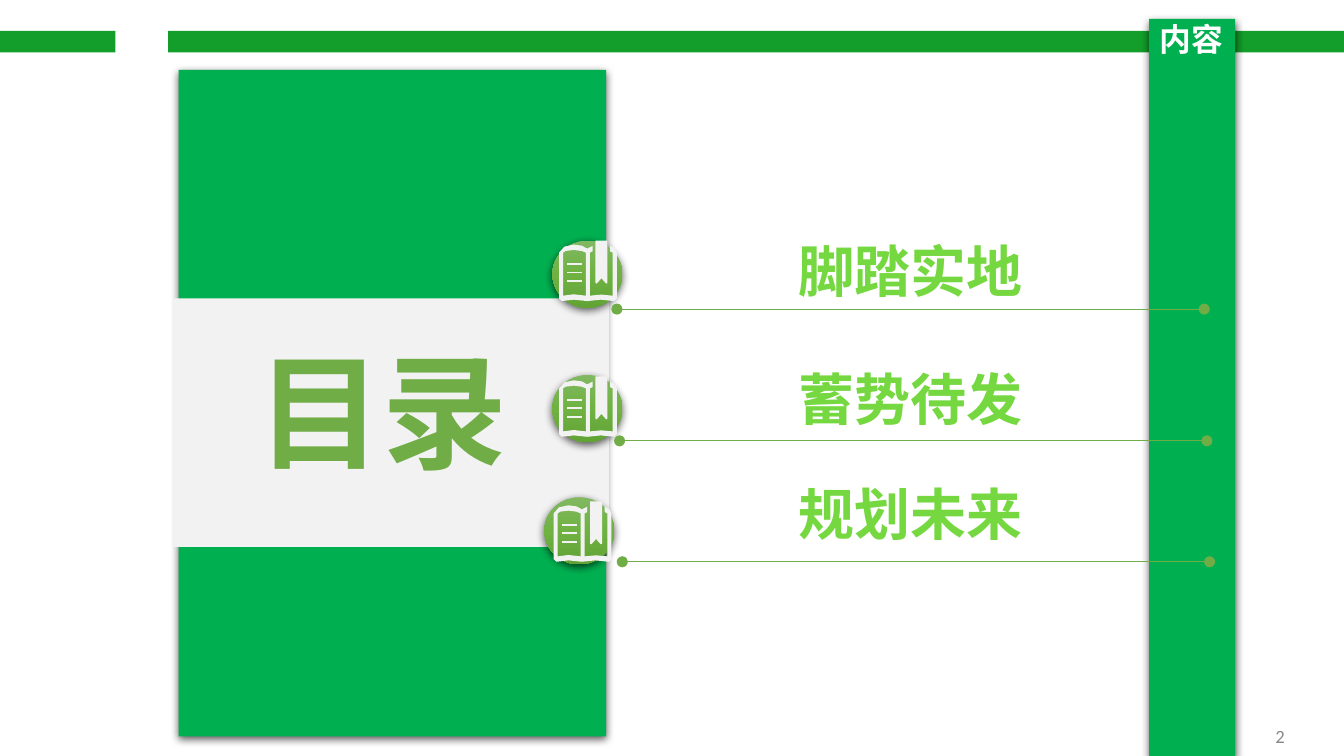
from lxml import etree
from pptx import Presentation
from pptx.dml.color import RGBColor
from pptx.enum.shapes import MSO_CONNECTOR, MSO_SHAPE
from pptx.enum.text import MSO_ANCHOR, PP_ALIGN
from pptx.oxml.ns import qn
from pptx.util import Inches, Pt

RECT, OVAL = MSO_SHAPE.RECTANGLE, MSO_SHAPE.OVAL
STRAIGHT = MSO_CONNECTOR.STRAIGHT
LEFT, CENTER, RIGHT = PP_ALIGN.LEFT, PP_ALIGN.CENTER, PP_ALIGN.RIGHT
TOP, MIDDLE = MSO_ANCHOR.TOP, MSO_ANCHOR.MIDDLE

WHITE = RGBColor(0xFF, 0xFF, 0xFF)
PALE = RGBColor(0xF2, 0xF2, 0xF2)
GRAY = RGBColor(0x89, 0x89, 0x89)
STRIPE = RGBColor(0x13, 0x9D, 0x2A)
GREEN = RGBColor(0x00, 0xB0, 0x50)
LEAF = RGBColor(0x70, 0xAD, 0x47)
BLACK = RGBColor(0, 0, 0)
DISC = [(0, RGBColor(0x81, 0xB8, 0x61)), (50, RGBColor(0x6F, 0xB2, 0x42)),
        (100, RGBColor(0x62, 0xA3, 0x36))]
LIME = [(0, RGBColor(0x33, 0x6F, 0x0A)), (78, RGBColor(0x75, 0xD8, 0x40)),
        (100, RGBColor(0xF2, 0xFB, 0xEE))]

CJK = "Noto Sans CJK SC"
TIGHT, LOOSE = (0.08, 0.04), (0.1, 0.05)

# Book outlines in thousandths of an inch from the icon's corner
RIBBON = [(270, 0), (360, 0), (360, 315), (350, 320), (315, 280),
          (280, 320), (270, 315)]
COVER = [(380, 40), (380, 80), (400, 90), (400, 410), (315, 402), (230, 410),
         (230, 90), (250, 80), (250, 40), (210, 60), (170, 38), (110, 30),
         (40, 45), (0, 90), (0, 430), (20, 450), (110, 440), (210, 450),
         (310, 440), (410, 450), (430, 430), (430, 90), (415, 58)]
PAGE = [(200, 410), (110, 400), (30, 410), (30, 90), (50, 77), (110, 70),
        (170, 78), (200, 90)]
ROWS = [[(60, y), (170, y), (170, y + 13), (60, y + 13)]
        for y in (168, 231, 294)]

# Heading, its top, disc corner, book corner, line start
ITEMS = [("脚踏实地", 1.71, (4.11, 1.79), (4.16, 1.79), (4.59, 2.3)),
         ("蓄势待发", 2.66, (4.11, 2.79), (4.16, 2.8), (4.61, 3.28)),
         ("规划未来", 3.52, (4.05, 3.7), (4.12, 3.73), (4.63, 4.18))]


def paint(shape, color):
    shape.fill.solid()
    shape.fill.fore_color.rgb = color
    shape.line.fill.background()
    shape.shadow.inherit = False


def add_color(parent, color):
    return etree.SubElement(parent, qn("a:srgbClr"), val=str(color))


def cast(shape):
    """Give the shape a soft shadow just below it."""
    effects = shape.element.spPr.find(qn("a:effectLst"))
    drop = etree.SubElement(effects, qn("a:outerShdw"), blurRad=str(Pt(4.5)),
                            dist=str(Pt(1.5)), dir="5400000", rotWithShape="0")
    etree.SubElement(add_color(drop, BLACK), qn("a:alpha"), val="63000")


def blend(fill, shape, stops):
    """Fill a shape, or the text in it, with colours from top to bottom."""
    fill.gradient()
    fill.gradient_angle = 270
    ramp = next(shape.element.iter(qn("a:gsLst")))
    for stop in list(ramp):
        ramp.remove(stop)
    for place, color in stops:
        add_color(etree.SubElement(ramp, qn("a:gs"), pos=str(place * 1000)),
                  color)


def add_block(slide, kind, box, color):
    shape = slide.shapes.add_shape(kind, *map(Inches, box))
    paint(shape, color)
    return shape


def write(shape, text, size, font, color, align=CENTER, anchor=TOP,
          inset=TIGHT, bold=True):
    frame = shape.text_frame
    frame.word_wrap = True
    frame.vertical_anchor = anchor
    frame.margin_left = frame.margin_right = Inches(inset[0])
    frame.margin_top = frame.margin_bottom = Inches(inset[1])
    para = frame.paragraphs[0]
    para.alignment = align
    run = para.add_run()
    run.text = text
    run.font.size = Pt(size)
    run.font.bold = bold
    run.font.name = font
    run.font.color.rgb = color
    props = next(shape.element.iter(qn("a:rPr")))
    etree.SubElement(props, qn("a:ea"), typeface=CJK)
    return run


def add_text(slide, box, *args, **style):
    shape = slide.shapes.add_textbox(*map(Inches, box))
    return shape, write(shape, *args, **style)


def set_title(slide, panel):
    title = slide.shapes.title
    title.left, title.top = Inches(8.55), Inches(0.14)
    title.width, title.height = Inches(0.64), Inches(5.49)
    paint(title, GREEN)
    cast(title)
    write(title, "内容", 17, CJK, WHITE, align=LEFT)
    title.text_frame.word_wrap = False
    title.text_frame.paragraphs[0].line_spacing = 0.9
    panel.element.addnext(title.element)


def add_outline(group, spot, *loops):
    left, top = (round(v * 1000) for v in spot)
    loops = [[(left + x, top + y) for x, y in loop] for loop in loops]
    pen = group.shapes.build_freeform(*loops[0][0], scale=Inches(1) / 1000)
    pen.add_line_segments(loops[0][1:])
    for loop in loops[1:]:
        pen.move_to(*loop[0])
        pen.add_line_segments(loop[1:])
    paint(pen.convert_to_shape(), PALE)


def add_book(slide, spot):
    group = slide.shapes.add_group_shape()
    add_outline(group, spot, RIBBON)
    for row in ROWS:
        add_outline(group, spot, row)
    add_outline(group, spot, COVER, PAGE)


def add_rule(slide, left, top):
    rule = slide.shapes.add_connector(STRAIGHT, Inches(left), Inches(top),
                                      Inches(left + 4.37), Inches(top))
    rule.line.color.rgb = LEAF
    rule.line.width = Pt(0.5)
    line = rule.line._get_or_add_ln()
    for end in ("a:headEnd", "a:tailEnd"):
        etree.SubElement(line, qn(end), type="oval")
    etree.SubElement(rule.element.spPr, qn("a:effectLst"))


def add_item(slide, text, top, disc, book, start):
    circle = add_block(slide, OVAL, (*disc, 0.52, 0.5), LEAF)
    blend(circle.fill, circle, DISC)
    cast(circle)
    add_book(slide, book)
    add_rule(slide, *start)
    box, run = add_text(slide, (4.61, top, 4.33, 0.61), text, 30, "Calibri",
                        LEAF, inset=LOOSE)
    blend(run.font.fill, box, LIME)


def main():
    deck = Presentation()
    deck.slide_width = Inches(10)
    deck.slide_height = deck.slide_width * 9 // 16
    slide = deck.slides.add_slide(deck.slide_layouts[5])
    for left, width in ((0, 0.86), (1.25, 8.75)):
        add_block(slide, RECT, (left, 0.23, width, 0.16), STRIPE)
    panel = add_block(slide, RECT, (1.33, 0.52, 3.18, 4.96), GREEN)
    cast(panel)
    set_title(slide, panel)
    add_block(slide, RECT, (1.29, 2.22, 3.24, 1.85), PALE)
    add_text(slide, (1.3, 2.45, 3.09, 1.21), "目录", 67, "Montserrat", LEAF)
    add_text(slide, (9.04, 5.35, 0.6, 0.25), "2", 10, "Calibri", GRAY,
             align=RIGHT, anchor=MIDDLE, bold=False)
    for item in ITEMS:
        add_item(slide, *item)
    deck.save("out.pptx")


if __name__ == "__main__":
    main()
